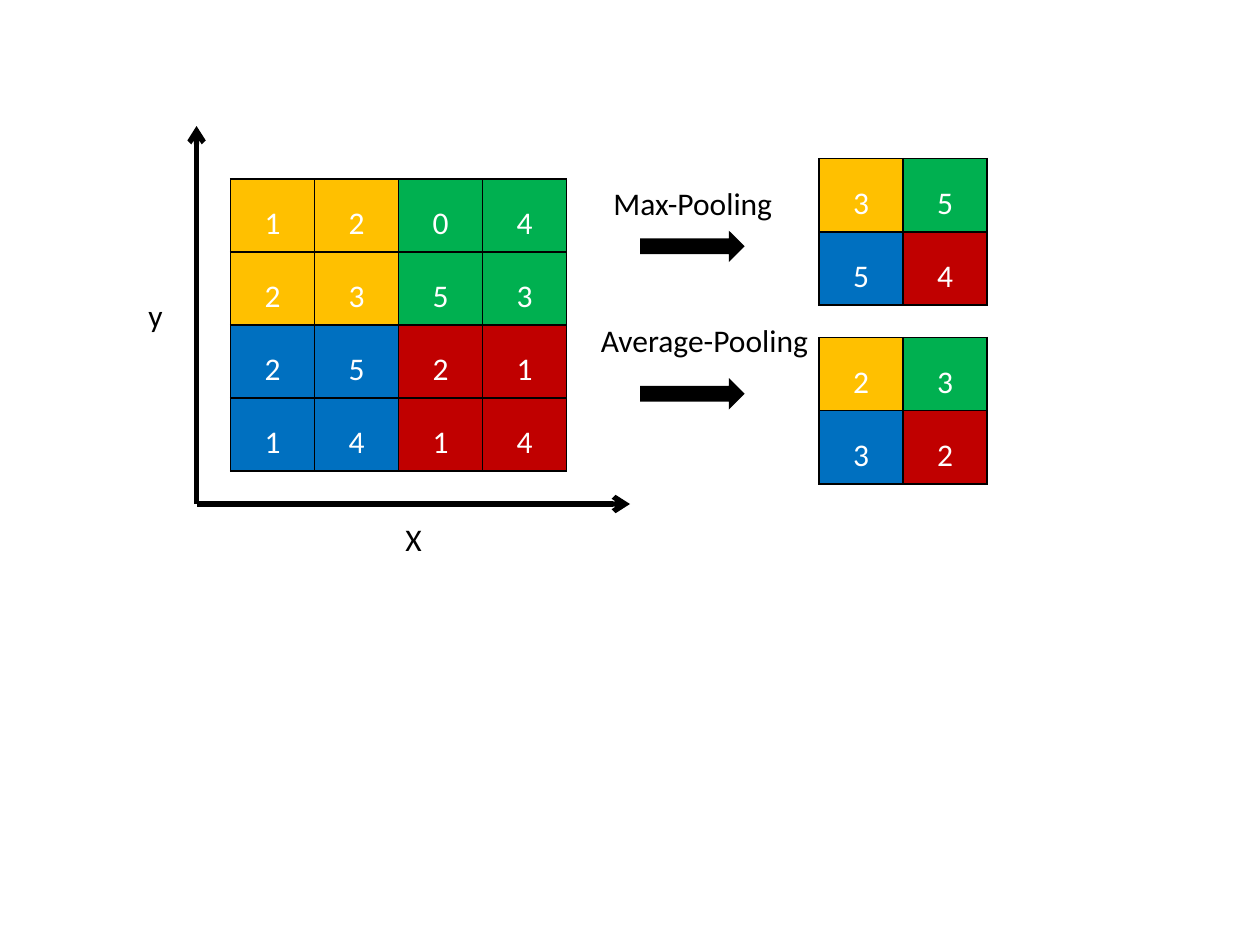
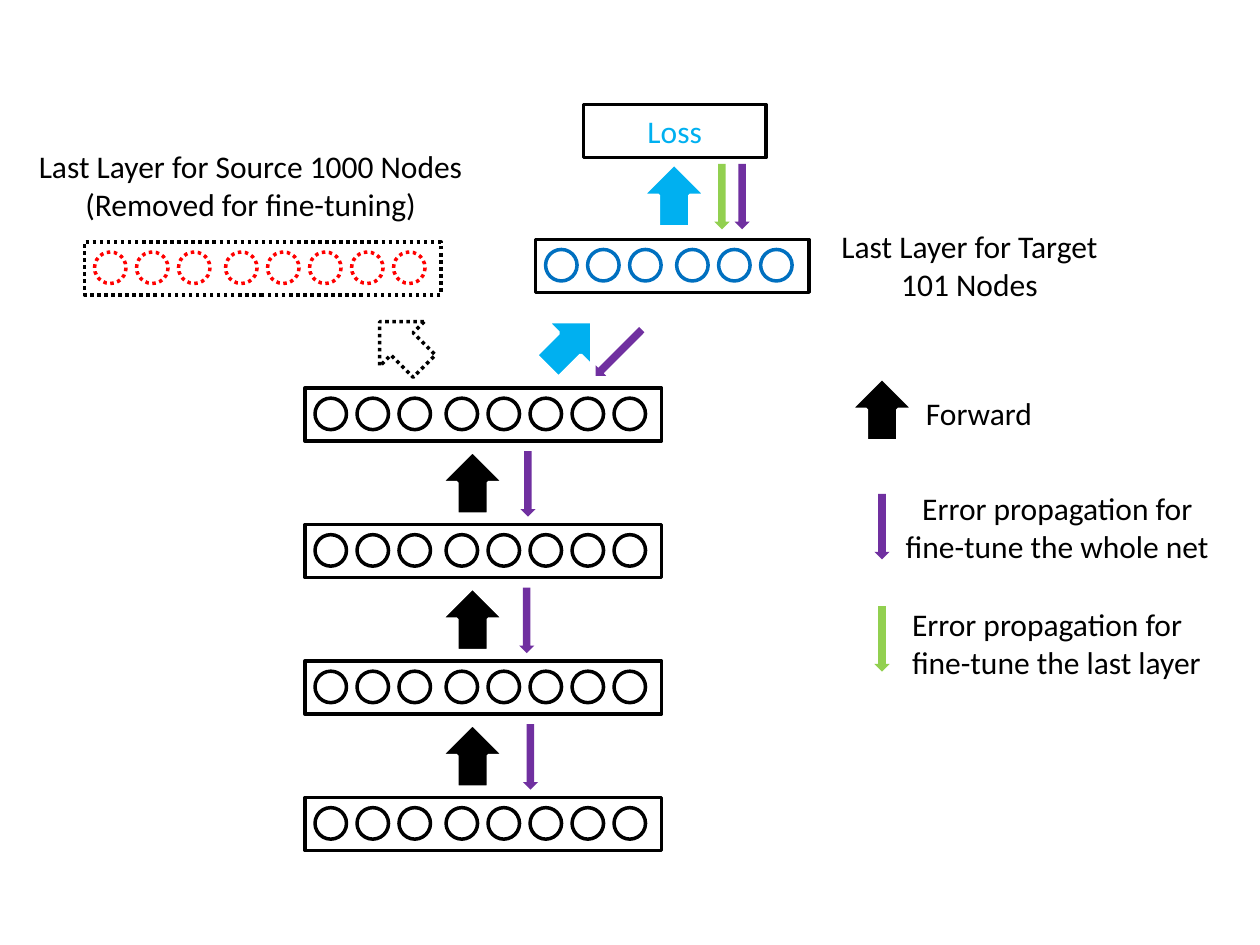
from pptx import Presentation
from pptx.dml.color import RGBColor
from pptx.enum.dml import MSO_LINE
from pptx.enum.shapes import MSO_CONNECTOR, MSO_SHAPE
from pptx.enum.text import MSO_ANCHOR, MSO_AUTO_SIZE, PP_ALIGN
from pptx.oxml import parse_xml
from pptx.oxml.ns import nsdecls, qn
from pptx.util import Inches, Pt

INK = {
    "black": "000000", "white": "FFFFFF", "gold": "FFC000", "green": "00B050",
    "blue": "0070C0", "red": "C00000", "sky": "00B0F0", "plum": "7030A0",
    "lime": "92D050", "alert": "FF0000",
}
FONT = {"name": "Calibri", "size": Pt(18)}
FRAME = {"word_wrap": False, "auto_size": MSO_AUTO_SIZE.SHAPE_TO_FIT_TEXT}
PLAIN = {"first_row": False, "horz_banding": False}
ZONES = [["gold", "green"], ["blue", "red"]]
LEFT, MID = PP_ALIGN.LEFT, PP_ALIGN.CENTER
BOX, RING = MSO_SHAPE.RECTANGLE, MSO_SHAPE.OVAL
DOWN, RIGHT = MSO_SHAPE.DOWN_ARROW, MSO_SHAPE.RIGHT_ARROW


def tint(name):
    """Return the named colour."""
    return RGBColor.from_string(INK[name])


def apply(item, style):
    """Set each attribute of a style on an item."""
    for key, val in style.items():
        setattr(item, key, val)


class Deck:
    """Holds the style and the current slide."""

    def __init__(self):
        """Open an empty 10 by 7.5 inch deck."""
        self.show = Presentation()
        apply(self.show, {"slide_width": Inches(10), "slide_height": Inches(7.5)})

    def page(self):
        """Start a blank slide."""
        self.slide = self.show.slides.add_slide(self.show.slide_layouts[6])

    def text(self, para, words, ink="black", align=LEFT):
        """Fill a paragraph with styled text."""
        run = para.add_run()
        run.text = words
        para.alignment = align
        apply(run.font, FONT)
        run.font.color.rgb = tint(ink)

    def shape(self, kind, x, y, w, h, fill=None, line=None, dots=False, turn=0, host=None):
        """Draw a preset shape on the slide or in a group."""
        item = (host or self.slide).shapes.add_shape(
            kind, Inches(x), Inches(y), Inches(w), Inches(h))
        item.shadow.inherit = False
        item.rotation = turn
        if fill:
            item.fill.solid()
            item.fill.fore_color.rgb = tint(fill)
        else:
            item.fill.background()
        if line:
            item.line.color.rgb = tint(line)
            item.line.width = Pt(2)
            if dots:
                item.line.dash_style = MSO_LINE.ROUND_DOT
        else:
            item.line.fill.background()
        return item

    def label(self, x, y, w, *rows):
        """Place lines of text, each with its alignment."""
        high = 0.4 if len(rows) == 1 else 0.71
        box = self.slide.shapes.add_textbox(Inches(x), Inches(y), Inches(w), Inches(high))
        frame = box.text_frame
        apply(frame, FRAME)
        for i, (words, align) in enumerate(rows):
            para = frame.add_paragraph() if i else frame.paragraphs[0]
            self.text(para, words, align=align)

    def grid(self, x, y, rows):
        """Draw a square table in four coloured zones."""
        size = len(rows)
        wide, high = Inches(2 / 3), Inches(0.58)
        table = self.slide.shapes.add_table(
            size, size, Inches(x), Inches(y), wide * size, high * size).table
        apply(table, PLAIN)
        for i, row in enumerate(rows):
            table.rows[i].height = high
            table.columns[i].width = wide
            for j, digit in enumerate(row):
                cell = table.cell(i, j)
                self.edge(cell)
                cell.fill.solid()
                cell.fill.fore_color.rgb = tint(ZONES[2 * i // size][2 * j // size])
                para = cell.text_frame.paragraphs[0]
                para.line_spacing = 1.5
                self.text(para, digit, "white", MID)

    def edge(self, cell):
        """Give a cell thin black borders."""
        props = cell._tc.get_or_add_tcPr()
        for side in "LRTB":
            props.append(parse_xml(
                f'<a:ln{side} {nsdecls("a")} w="{Pt(1)}"><a:solidFill>'
                f'<a:srgbClr val="{INK["black"]}"/></a:solidFill></a:ln{side}>'))

    def axis(self, host, x, y):
        """Draw an axis arrow from the origin."""
        link = host.shapes.add_connector(
            MSO_CONNECTOR.STRAIGHT, Inches(1.56), Inches(4), Inches(x), Inches(y))
        link.line.color.rgb = tint("black")
        link.line.width = Pt(3)
        props = link.element.spPr
        props.find(qn("a:ln")).append(
            parse_xml(f'<a:tailEnd {nsdecls("a")} type="arrow"/>'))
        props.append(parse_xml(f'<a:effectLst {nsdecls("a")}/>'))

    def layer(self, x, y, count=8, ink="black", dots=False):
        """Draw a boxed row of nodes with a gap after the third."""
        host = self.slide.shapes.add_group_shape()
        wide = 2.83 if count == 8 else 2.17
        self.shape(BOX, x, y, wide, 0.42, line="black", dots=dots, host=host)
        for i in range(count):
            left = x + 0.08 + i / 3 + (0.04 if i > 2 else 0)
            self.shape(RING, left, y + 0.08, 0.25, 0.25, line=ink, dots=dots, host=host)

    def ahead(self, x, y, fill="black", line="white", dots=False, turn=180):
        """Draw a broad forward arrow."""
        self.shape(DOWN, x, y, 0.5, 0.5, fill, line, dots, turn)

    def back(self, x, y, fill="plum", turn=0):
        """Draw a slim error arrow."""
        self.shape(DOWN, x, y, 0.12, 0.52, fill, turn=turn)


def pooling(deck):
    """Build the pooling slide."""
    deck.page()
    deck.grid(1.83, 1.42, ["1204", "2353", "2521", "1414"])
    deck.grid(6.5, 1.26, ["35", "54"])
    deck.grid(6.5, 2.68, ["23", "32"])
    for y in (1.83, 3):
        deck.shape(RIGHT, 5.08, y, 0.83, 0.25, "black")
    deck.label(4.77, 1.41, 1.48, ("Max-Pooling", LEFT))
    deck.label(4.67, 2.5, 1.86, ("Average-Pooling", LEFT))
    axes = deck.slide.shapes.add_group_shape()
    deck.axis(axes, 5, 4)
    deck.axis(axes, 1.56, 1)
    deck.label(3.12, 4.08, 0.33, ("X", LEFT))
    deck.label(1.08, 2.3, 0.32, ("y", LEFT))


def tuning(deck):
    """Build the fine-tuning slide."""
    deck.page()
    for i in range(4):
        deck.layer(2.42, 3.08 + i * 13 / 12)
    deck.layer(4.25, 1.9, 6, "blue")
    deck.layer(0.67, 1.92, ink="alert", dots=True)

    for i, x in enumerate((4.13, 4.12, 4.15)):
        y = 3.58 + i * 13 / 12
        deck.ahead(3.5, y)
        deck.back(x, y)
    deck.ahead(4.27, 2.48, "sky", turn=225)
    deck.ahead(2.94, 2.48, None, "black", True, 135)
    deck.back(4.85, 2.54, turn=45)

    deck.ahead(5.1, 1.3, "sky")
    deck.back(5.67, 1.3, "lime")
    deck.back(5.83, 1.3)
    loss = deck.shape(BOX, 4.63, 0.83, 1.45, 0.42, line="black")
    loss.text_frame.vertical_anchor = MSO_ANCHOR.MIDDLE
    deck.text(loss.text_frame.paragraphs[0], "Loss", "sky", MID)
    deck.label(0.21, 1.12, 3.66, ("Last Layer for Source 1000 Nodes", LEFT),
               ("(Removed for fine-tuning)", MID))
    deck.label(6.58, 1.75, 2.26, ("Last Layer for Target", LEFT), ("101 Nodes", MID))

    deck.ahead(6.75, 3)
    deck.back(6.94, 3.92)
    deck.back(6.94, 4.81, "lime")
    deck.label(7.25, 3.08, 1.05, ("Forward", LEFT))
    deck.label(7.09, 3.83, 2.66, ("Error propagation for ", MID),
               ("fine-tune the whole net", LEFT))
    deck.label(7.14, 4.75, 2.54, ("Error propagation for", LEFT),
               ("fine-tune the last layer", MID))


def main():
    """Build and save the deck."""
    deck = Deck()
    pooling(deck)
    tuning(deck)
    deck.show.save("out.pptx")


if __name__ == "__main__":
    main()
